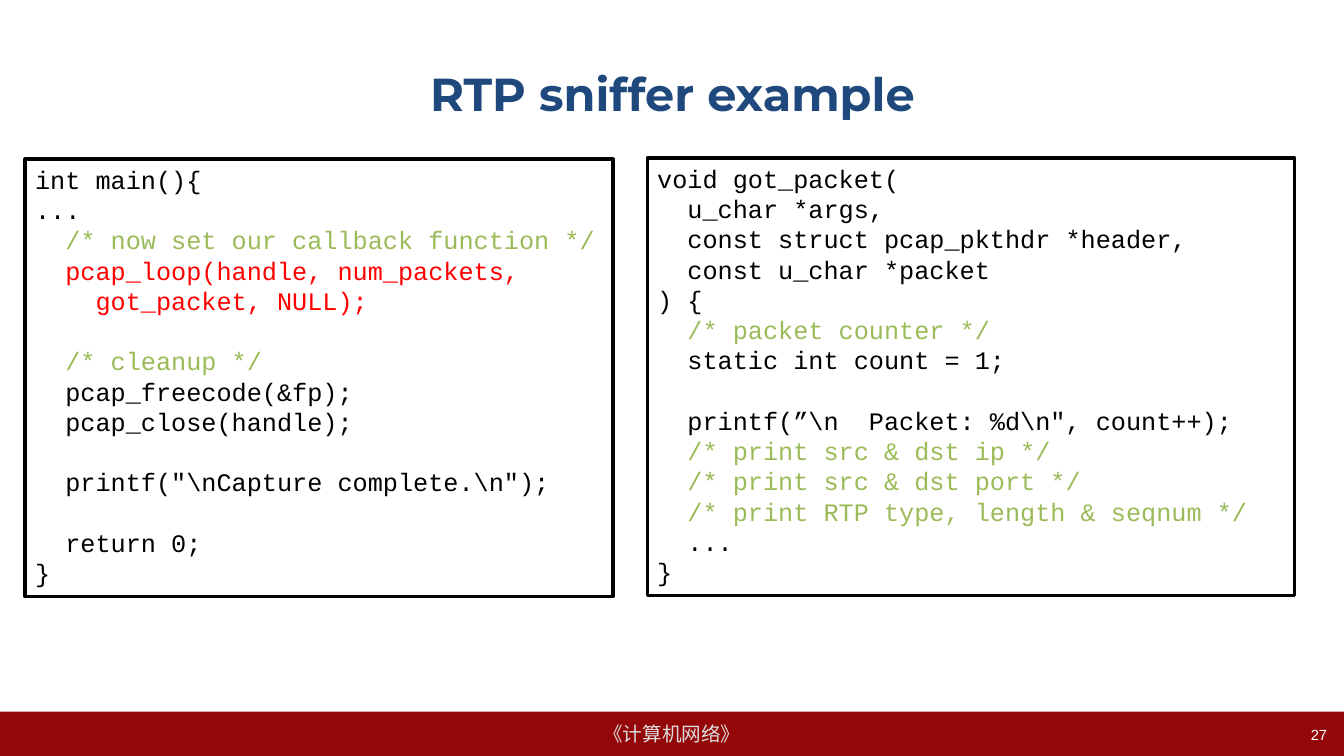
from pptx import Presentation
from pptx import util as u
from pptx.dml.color import RGBColor
from pptx.enum import shapes, text

BLACK, GREEN, RED = "000000", "9BBB59", "FF0000"

MAIN_CODE = r'''int main(){
...
  /* now set our callback function */
  pcap_loop(handle, num_packets,
    got_packet, NULL);

  /* cleanup */
  pcap_freecode(&fp);
  pcap_close(handle);

  printf("\nCapture complete.\n");

  return 0;
}'''

CALLBACK_CODE = r'''void got_packet(
  u_char *args,
  const struct pcap_pkthdr *header,
  const u_char *packet
) {
  /* packet counter */
  static int count = 1;

  printf(”\n  Packet: %d\n", count++);
  /* print src & dst ip */
  /* print src & dst port */
  /* print RTP type, length & seqnum */
  ...
}'''

CODE = {"name": "Courier New", "size": u.Pt(18)}
TITLE = {"name": "Montserrat", "size": u.Pt(33), "bold": True}
COURSE = {"name": "Arial", "size": u.Pt(14)}
NUMBER = {"name": "Arial", "size": u.Pt(10.5)}


def rgb(value):
    return RGBColor.from_string(value)


def add_run(paragraph, words, formats, color):
    run = paragraph.add_run()
    run.text = words
    for key, value in formats.items():
        setattr(run.font, key, value)
    run.font.color.rgb = rgb(color)


def add_rectangle(slide, box):
    rectangle = slide.shapes.add_shape(
        shapes.MSO_SHAPE.RECTANGLE, *map(u.Inches, box))
    rectangle.shadow.inherit = False
    return rectangle


def add_label(slide, box, words, formats, color, align, anchor):
    label = slide.shapes.add_textbox(*map(u.Inches, box)).text_frame
    label.word_wrap = True
    label.vertical_anchor = anchor
    label.paragraphs[0].alignment = align
    add_run(label.paragraphs[0], words, formats, color)


def add_title(slide, box):
    add_label(slide, box, "RTP sniffer example", TITLE, "1F497D",
              text.PP_ALIGN.CENTER, text.MSO_ANCHOR.MIDDLE)


def add_footer(slide, box):
    left, top, width, height = box
    band = add_rectangle(slide, box)
    band.fill.solid()
    band.fill.fore_color.rgb = rgb("940709")
    band.line.fill.background()
    course = band.text_frame
    course.word_wrap = False
    course.vertical_anchor = text.MSO_ANCHOR.MIDDLE
    course.paragraphs[0].alignment = text.PP_ALIGN.CENTER
    add_run(course.paragraphs[0], "《计算机网络》", COURSE, "DDDDDD")
    number_box = (left + width - 3.18, top + 0.09, 3.11, 0.35)
    add_label(slide, number_box, "27", NUMBER, "FFFFFF",
              text.PP_ALIGN.RIGHT, text.MSO_ANCHOR.TOP)


def add_code(slide, box, code, highlighted=()):
    panel = add_rectangle(slide, box)
    panel.fill.background()
    panel.line.color.rgb = rgb(BLACK)
    panel.line.width = u.Pt(2.5)
    listing = panel.text_frame
    listing.word_wrap = True
    listing.vertical_anchor = text.MSO_ANCHOR.TOP
    for index, line in enumerate(code.split("\n")):
        paragraph = listing.add_paragraph() if index else listing.paragraphs[0]
        paragraph.alignment = text.PP_ALIGN.LEFT
        paragraph.line_spacing = u.Pt(21.6)
        color = GREEN if "/*" in line else RED if index in highlighted else BLACK
        if line:
            add_run(paragraph, line, CODE, color)


def main():
    deck = Presentation()
    deck.slide_width, deck.slide_height = u.Inches(13.33), u.Inches(7.5)
    slide = deck.slides.add_slide(deck.slide_layouts[6])
    add_footer(slide, (0, 7.06, 13.33, 0.44))
    add_title(slide, (0.67, 0.3, 12, 1.25))
    add_code(slide, (0.25, 1.58, 5.83, 4.34), MAIN_CODE, highlighted=(3, 4))
    add_code(slide, (6.42, 1.57, 6.42, 4.34), CALLBACK_CODE)
    deck.save("out.pptx")


if __name__ == "__main__":
    main()
